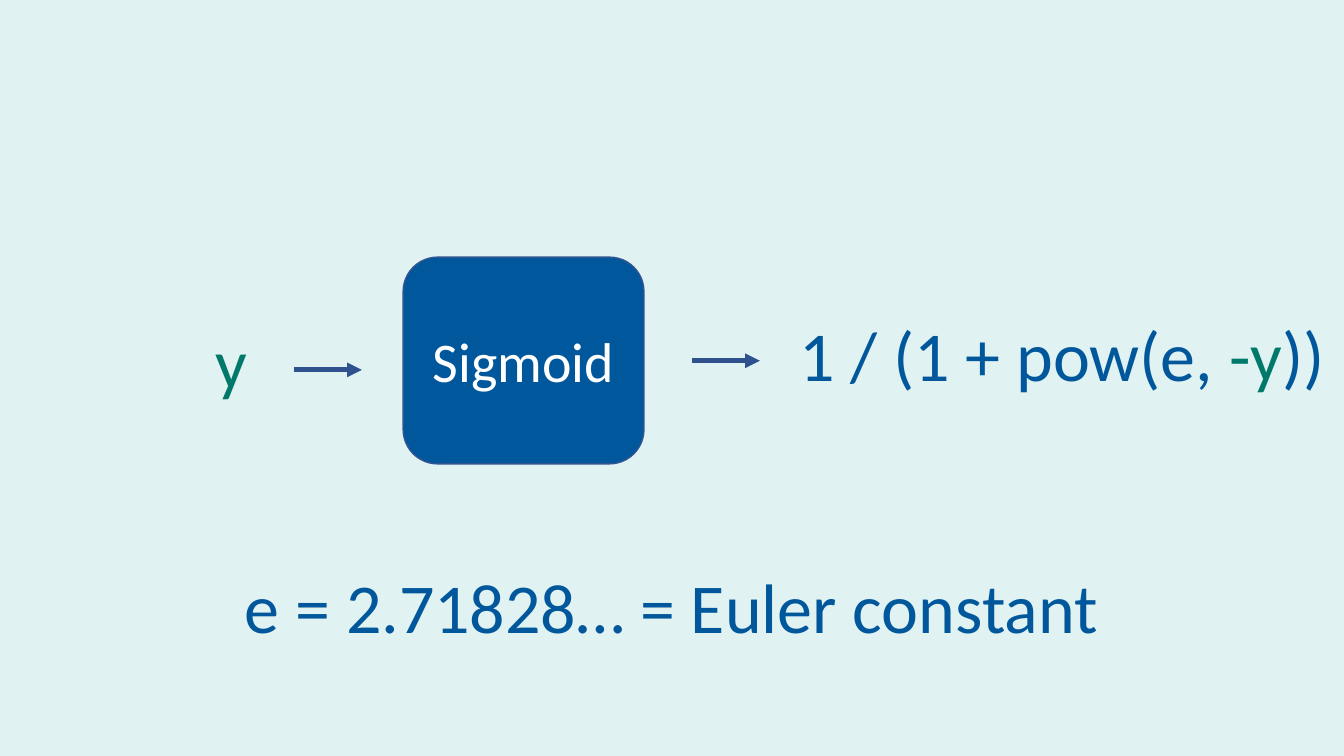
from lxml.etree import SubElement
from pptx import Presentation
from pptx.dml.color import RGBColor
from pptx.enum.shapes import MSO_CONNECTOR, MSO_SHAPE
from pptx.enum.text import MSO_ANCHOR, PP_ALIGN
from pptx.oxml.ns import qn
from pptx.util import Cm, Pt

BLUE = "01579B"
GREEN = "00796B"


def color(value):
    return RGBColor.from_string(value)


def write_centered(shape, pieces, size):
    paragraph = shape.text_frame.paragraphs[0]
    paragraph.alignment = PP_ALIGN.CENTER
    for text, text_color in pieces:
        run = paragraph.add_run()
        run.text = text
        run.font.name = "Calibri"
        run.font.size = Pt(size)
        run.font.color.rgb = color(text_color)


presentation = Presentation()
presentation.slide_width = Cm(33.87)
presentation.slide_height = Cm(19.05)
slide = presentation.slides.add_slide(presentation.slide_layouts[6])
slide.background.fill.solid()
slide.background.fill.fore_color.rgb = color("E0F2F1")

sigmoid = slide.shapes.add_shape(
    MSO_SHAPE.ROUNDED_RECTANGLE, Cm(10.16), Cm(6.48), Cm(6.07), Cm(5.21)
)
sigmoid.shadow.inherit = False
sigmoid.fill.solid()
sigmoid.fill.fore_color.rgb = color(BLUE)
sigmoid.line.color.rgb = color("325491")
sigmoid.line.width = Pt(1)
sigmoid.text_frame.vertical_anchor = MSO_ANCHOR.MIDDLE
write_centered(sigmoid, [("Sigmoid", "FFFFFF")], 40)

labels = [
    (2.79, 7.9, 6.07, [("y", GREEN)]),
    (19.38, 7.72, 14.76, [("1 / (1 + pow(e, ", BLUE), ("-y", GREEN), ("))", BLUE)]),
    (3.78, 14.07, 26.31, [("e = 2.71828… = Euler constant", BLUE)]),
]
for left, top, width, pieces in labels:
    label = slide.shapes.add_textbox(Cm(left), Cm(top), Cm(width), Cm(2.39))
    label.text_frame.word_wrap = True
    write_centered(label, pieces, 50)

for left, top in [(7.42, 9.32), (17.45, 9.09)]:
    arrow = slide.shapes.add_connector(
        MSO_CONNECTOR.STRAIGHT, Cm(left), Cm(top), Cm(left + 1.7), Cm(top)
    )
    arrow.line.color.rgb = color("2F528F")
    arrow.line.width = Pt(3.5)
    SubElement(arrow.line._get_or_add_ln(), qn("a:tailEnd"), type="triangle")
    SubElement(arrow._element.spPr, qn("a:effectLst"))

presentation.save("out.pptx")
